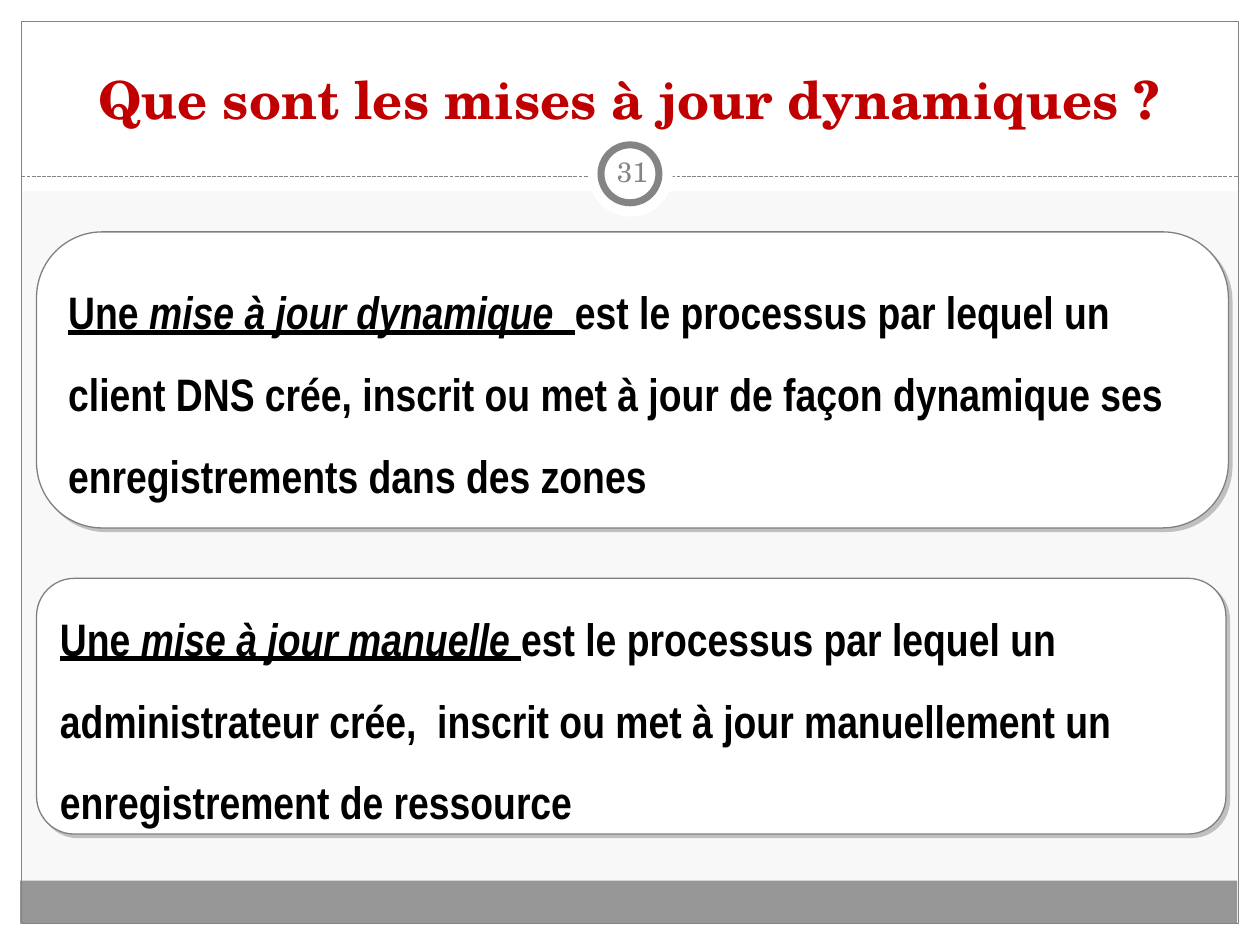
from lxml import etree
from pptx import Presentation
from pptx.dml.color import RGBColor
from pptx.enum.dml import MSO_LINE
from pptx.enum.shapes import MSO_CONNECTOR, MSO_SHAPE
from pptx.enum.text import MSO_ANCHOR, PP_ALIGN
from pptx.oxml.ns import qn
from pptx.util import Inches, Pt

WHITE = RGBColor(0xFF, 0xFF, 0xFF)
BLACK = RGBColor(0, 0, 0)
PALE = RGBColor(0xF8, 0xF8, 0xF8)
GRAY = RGBColor(0x84, 0x84, 0x84)
EDGE = RGBColor(0x80, 0x80, 0x80)
BAND = RGBColor(0x96, 0x96, 0x96)
RED = RGBColor(0xC0, 0, 0)

RECT, OVAL, ROUND = MSO_SHAPE.RECTANGLE, MSO_SHAPE.OVAL, MSO_SHAPE.ROUNDED_RECTANGLE
STRAIGHT, DASH = MSO_CONNECTOR.STRAIGHT, MSO_LINE.SQUARE_DOT
MIDDLE, BOTTOM = MSO_ANCHOR.MIDDLE, MSO_ANCHOR.BOTTOM
LEFT, CENTER = PP_ALIGN.LEFT, PP_ALIGN.CENTER

WIDTH, HEIGHT = 10, 7.5
EDGE_GAP = 0.17
INNER = WIDTH - 2 * EDGE_GAP
RULE_Y = 1.4

SERIF = "TeX Gyre Schola"
BODY = {"name": "Arial Narrow", "size": Pt(26), "bold": True}
TITLE = {"name": SERIF, "size": Pt(30), "bold": True}
NUMBER = {"name": SERIF, "size": Pt(16)}

CARDS = [
    ((0.29, 1.84, 9.46, 2.35), 0.222, "mise à jour dynamique", "  ",
     "est le processus par lequel un client DNS crée, inscrit ou met à jour "
     "de façon dynamique ses enregistrements dans des zones"),
    ((0.29, 4.59, 9.44, 2.03), 0.148, "mise à jour manuelle", " ",
     "est le processus par lequel un administrateur crée,  inscrit ou met à jour "
     "manuellement un enregistrement de ressource"),
]


def add_form(slide, kind, box, fill=None, line=None, weight=0.75):
    form = slide.shapes.add_shape(kind, *map(Inches, box))
    form.shadow.inherit = False
    if fill is None:
        form.fill.background()
    else:
        form.fill.solid()
        form.fill.fore_color.rgb = fill
    if line is None:
        form.line.fill.background()
    else:
        form.line.color.rgb = line
        form.line.width = Pt(weight)
    return form


def add_run(para, text, style, color):
    run = para.add_run()
    run.text = text
    for name, value in style.items():
        setattr(run.font, name, value)
    run.font.color.rgb = color


def add_label(slide, box, text, style, color, anchor, inset=None):
    frame = slide.shapes.add_textbox(*map(Inches, box)).text_frame
    frame.word_wrap = True
    frame.vertical_anchor = anchor
    if inset is not None:
        for side in ("left", "right", "top", "bottom"):
            setattr(frame, f"margin_{side}", Inches(inset))
    para = frame.paragraphs[0]
    para.alignment = CENTER
    add_run(para, text, style, color)


def add_rule(slide):
    rule = slide.shapes.add_connector(
        STRAIGHT, *map(Inches, (EDGE_GAP, RULE_Y, WIDTH - EDGE_GAP, RULE_Y)))
    rule.line.color.rgb = GRAY
    rule.line.width = Pt(0.75)
    rule.line.dash_style = DASH
    etree.SubElement(rule._element.spPr, qn("a:effectLst"))


def cast_shadow(form):
    """Give the form a hard light gray shadow to the lower right."""
    effects = form._element.spPr.find(qn("a:effectLst"))
    shadow = etree.SubElement(effects, qn("a:outerShdw"), blurRad="0",
                              dist=str(Pt(2.8)), dir=str(45 * 60000),
                              algn="ctr", rotWithShape="0")
    etree.SubElement(shadow, qn("a:srgbClr"), val="C0C0C0")


def add_card(slide, box, curve, term, gap, rest):
    card = add_form(slide, ROUND, box, WHITE, EDGE)
    card.adjustments[0] = curve
    cast_shadow(card)
    frame = card.text_frame
    frame.word_wrap = True
    frame.vertical_anchor = MIDDLE
    para = frame.paragraphs[0]
    para.alignment = LEFT
    para.line_spacing = 1.5
    under = {**BODY, "underline": True}
    add_run(para, "Une ", under, BLACK)
    add_run(para, term, {**under, "italic": True}, BLACK)
    add_run(para, gap, under, BLACK)
    add_run(para, rest, BODY, BLACK)


def add_frame(slide):
    """Draw the white margins, the footer band, the border and the ring."""
    side = WIDTH - EDGE_GAP
    foot = HEIGHT - EDGE_GAP
    for box in ((0, foot, WIDTH, EDGE_GAP), (0, 0, WIDTH, 1.52),
                (0, 0, EDGE_GAP, HEIGHT), (side, 0, EDGE_GAP, HEIGHT)):
        add_form(slide, RECT, box, WHITE)
    add_form(slide, RECT, (0.16, 6.99, INNER, 0.34), BAND)
    add_form(slide, RECT, (EDGE_GAP, EDGE_GAP, INNER, foot - EDGE_GAP), line=GRAY)
    add_rule(slide)
    add_form(slide, OVAL, (4.67, 1.05, 0.67, 0.67), WHITE)
    add_form(slide, OVAL, (4.77, 1.15, 0.46, 0.46), WHITE, GRAY, 4)


def main():
    deck = Presentation()
    deck.slide_width, deck.slide_height = Inches(WIDTH), Inches(HEIGHT)
    slide = deck.slides.add_slide(deck.slide_layouts[6])
    slide.background.fill.solid()
    slide.background.fill.fore_color.rgb = PALE
    add_frame(slide)
    add_label(slide, (0.33, 0.25, 9.33, 0.83),
              "Que sont les mises à jour dynamiques ?", TITLE, RED, BOTTOM)
    for card in CARDS:
        add_card(slide, *card)
    add_label(slide, (4.77, 1.12, 0.5, 0.48), "31", NUMBER, GRAY, MIDDLE, 0.05)
    deck.save("out.pptx")


if __name__ == "__main__":
    main()
